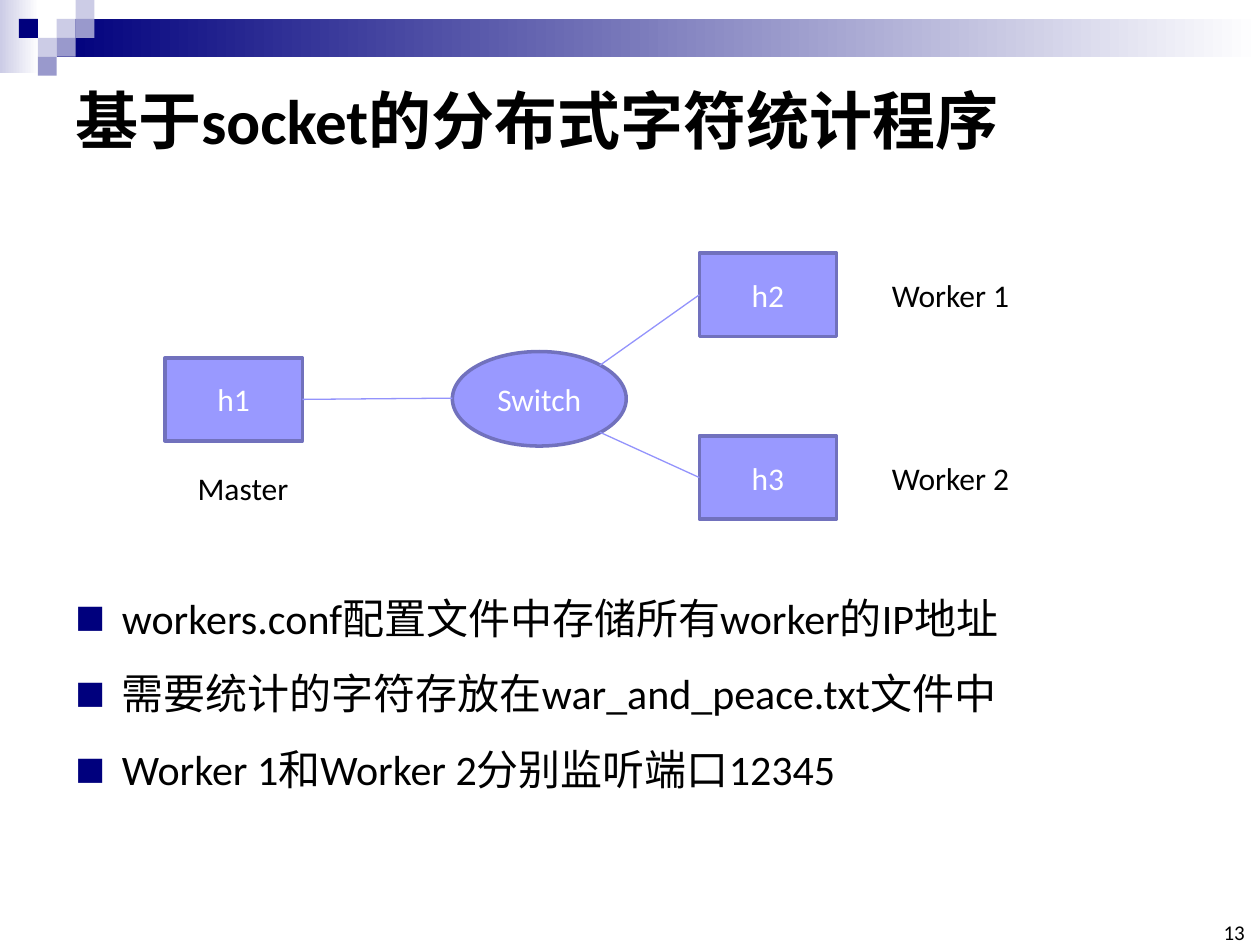
"""Build the slide on a socket-based distributed character counter."""
import pptx
import pptx.dml.color
import pptx.enum.shapes
import pptx.enum.text
import pptx.oxml.ns
import pptx.util
import lxml.etree

Inches = pptx.util.Inches
Pt = pptx.util.Pt
RGB = pptx.dml.color.RGBColor.from_string
SHAPE = pptx.enum.shapes.MSO_SHAPE
ANCHOR = pptx.enum.text.MSO_ANCHOR
ALIGN = pptx.enum.text.PP_ALIGN
qn = pptx.oxml.ns.qn

COLORS = {
    "navy": "00007D", "pale": "CCCCE6", "mid": "9999CC", "white": "FFFFFF",
    "black": "000000", "node": "9999FF", "border": "7171BD", "link": "9393FC",
}

deck = pptx.Presentation()
deck.slide_width, deck.slide_height = Inches(10), Inches(7.5)
page = deck.slides.add_slide(deck.slide_layouts[6])


def add_block(kind, place, fill):
    block = page.shapes.add_shape(kind, *map(Inches, place))
    block.shadow.inherit = False
    block.line.fill.background()
    if fill:
        block.fill.solid()
        block.fill.fore_color.rgb = RGB(COLORS[fill])
    return block


def write(shape, lines, size, color="black", align=ALIGN.LEFT, bold=False, **frame_format):
    frame = shape.text_frame
    for name, value in frame_format.items():
        setattr(frame, name, value)
    frame.text = "\n".join(lines)
    for para in frame.paragraphs:
        para.alignment = align
        for span in para.runs:
            for name, value in {"name": "Calibri", "size": Pt(size), "bold": bold}.items():
                setattr(span.font, name, value)
            span.font.color.rgb = RGB(COLORS[color])
    return frame


for place, start in [((0, 0, 0.31, 0.58), "pale"), ((0.45, 0.15, 9.55, 0.3), "navy")]:
    band = add_block(SHAPE.RECTANGLE, place, None)
    band.fill.gradient()
    band.fill.gradient_angle = 0
    for stop, color, position in zip(band.fill.gradient_stops, (start, "white"), (0, 1)):
        stop.color.rgb = RGB(COLORS[color])
        stop.position = position

TILE = 0.15
tiles = [
    (3, 1, "pale"), (4, 0, "pale"), (4, 1, "mid"), (2, 2, "pale"),
    (1, 1, "navy"), (3, 2, "mid"), (2, 3, "mid"),
]
for column, row, color in tiles:
    add_block(SHAPE.RECTANGLE, (column * TILE, row * TILE, TILE, TILE), color)

title = page.shapes.add_textbox(Inches(0.5), Inches(0.5), Inches(9), Inches(0.89))
write(title, ["基于socket的分布式字符统计程序"], 36, bold=True,
      word_wrap=True, vertical_anchor=ANCHOR.MIDDLE)

number = page.shapes.add_textbox(Inches(9.65), Inches(7.33), Inches(0.23), Inches(0.17))
write(number, ["13"], 12, align=ALIGN.RIGHT, word_wrap=True, vertical_anchor=ANCHOR.BOTTOM,
      margin_left=0, margin_right=0, margin_top=0, margin_bottom=0)

nodes = {}
for name, kind, place in [
    ("Switch", SHAPE.OVAL, (3.59, 2.79, 1.38, 0.75)),
    ("h1", SHAPE.RECTANGLE, (1.31, 2.84, 1.09, 0.66)),
    ("h2", SHAPE.RECTANGLE, (5.55, 2.01, 1.09, 0.66)),
    ("h3", SHAPE.RECTANGLE, (5.55, 3.46, 1.09, 0.66)),
]:
    node = add_block(kind, place, "node")
    node.line.color.rgb = RGB(COLORS["border"])
    node.line.width = Pt(2)
    write(node, [name], 18, "white", ALIGN.CENTER, vertical_anchor=ANCHOR.MIDDLE)
    nodes[name] = node

for host, side, x, y in [("h1", 3, 3.59, 3.16), ("h2", 1, 4.76, 2.9), ("h3", 1, 4.76, 3.43)]:
    link = page.shapes.add_connector(
        pptx.enum.shapes.MSO_CONNECTOR.STRAIGHT, Inches(x), Inches(y), Inches(x), Inches(y))
    link.end_connect(nodes[host], side)
    link.line.color.rgb = RGB(COLORS["link"])
    link.line.width = Pt(0.75)
    lxml.etree.SubElement(link._element.spPr, qn("a:effectLst"))

for label, x, y, width in [
    ("Master", 1.47, 3.67, 0.93), ("Worker 1", 6.98, 2.14, 1.14), ("Worker 2", 6.98, 3.59, 1.14),
]:
    box = page.shapes.add_textbox(Inches(x), Inches(y), Inches(width), Inches(0.4))
    write(box, [label], 18, word_wrap=False)

body = page.shapes.add_textbox(Inches(0.5), Inches(4.45), Inches(9), Inches(2.64))
notes = [
    "workers.conf配置文件中存储所有worker的IP地址",
    "需要统计的字符存放在war_and_peace.txt文件中",
    "Worker 1和Worker 2分别监听端口12345",
]
for para in write(body, notes, 24, word_wrap=True).paragraphs:
    para.line_spacing = 1.5
    props = para._p.get_or_add_pPr()
    props.set("marL", str(Inches(0.37)))
    props.set("indent", str(Inches(-0.37)))
    bullet_color = lxml.etree.SubElement(props, qn("a:buClr"))
    lxml.etree.SubElement(bullet_color, qn("a:srgbClr"), val=COLORS["navy"])
    lxml.etree.SubElement(props, qn("a:buSzPct"), val="75000")
    lxml.etree.SubElement(props, qn("a:buFont"), typeface="Calibri")
    lxml.etree.SubElement(props, qn("a:buChar"), char="■")

deck.save("out.pptx")
